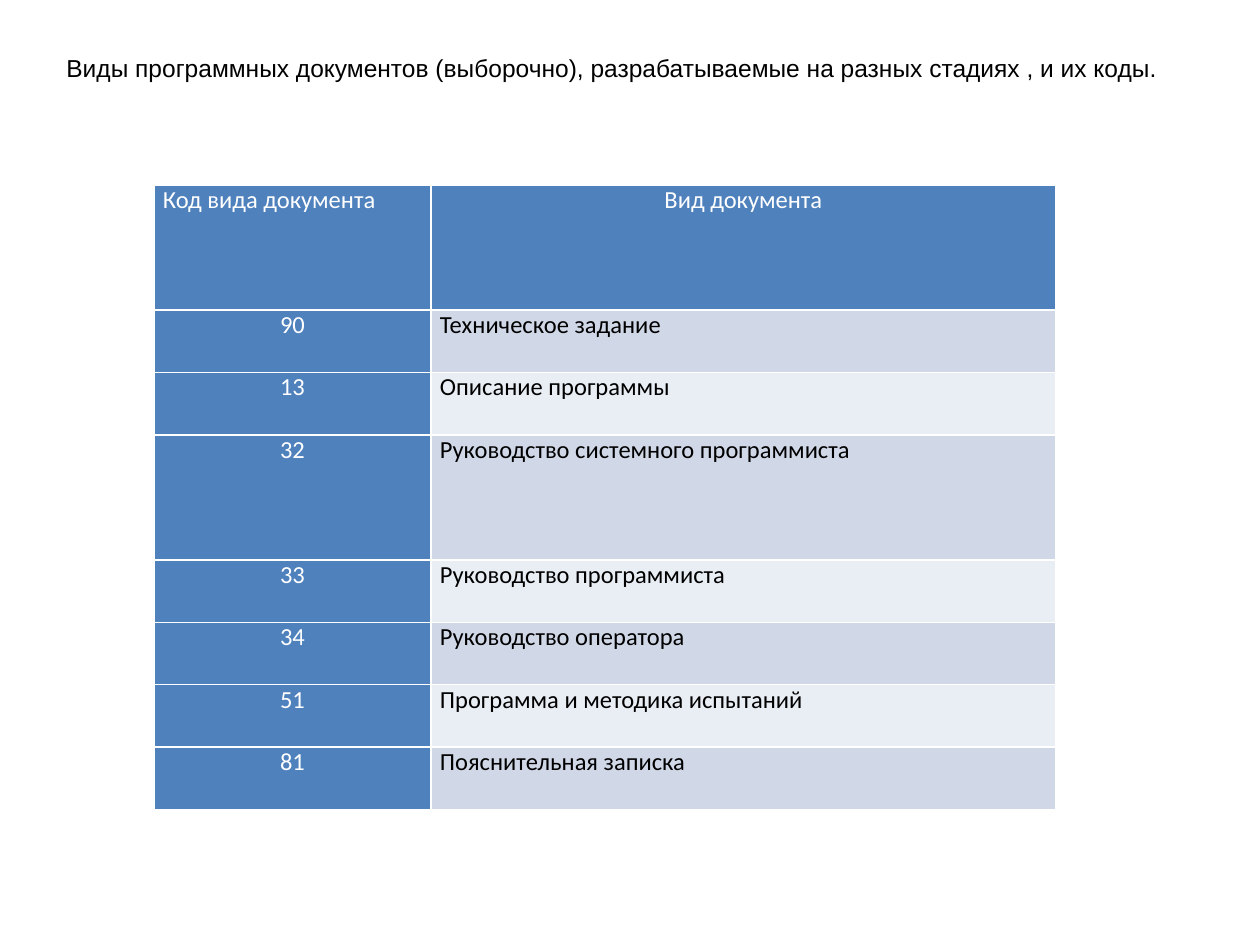
"""Build a slide listing program document kinds and their codes."""
import pptx
import pptx.util
import pptx.dml.color
import pptx.enum.text
import pptx.oxml
import pptx.oxml.ns

RGB = pptx.dml.color.RGBColor
ALIGN = pptx.enum.text.PP_ALIGN
WHITE = RGB(0xFF, 0xFF, 0xFF)
BLACK = RGB(0, 0, 0)
BLUE = RGB(0x4F, 0x81, 0xBD)
BANDS = RGB(0xD0, 0xD8, 0xE8), RGB(0xE9, 0xED, 0xF4)

TITLE = "Виды программных документов (выборочно), разрабатываемые на разных стадиях , и их коды."
ROWS = [
    ("Код вида документа", "Вид документа", 2),
    ("90", "Техническое задание", 1),
    ("13", "Описание программы", 1),
    ("32", "Руководство системного программиста", 2),
    ("33", "Руководство программиста", 1),
    ("34", "Руководство оператора", 1),
    ("51", "Программа и методика испытаний", 1),
    ("81", "Пояснительная записка", 1),
]
COLS = 277, 625
LEFT, TOP, HIGH = 154, 185, 625
SCALE = 914400 / 126


def px(num):
    return pptx.util.Emu(round(num * SCALE))


def write(frame, text, font, color, align):
    para = frame.paragraphs[0]
    para.alignment = align
    run = para.add_run()
    run.text = text
    run.font.name = font
    run.font.size = pptx.util.Pt(14)
    run.font.color.rgb = color


def edge(cell):
    props = cell._tc.get_or_add_tcPr()
    space = pptx.oxml.ns.nsdecls("a")
    for spot, side in enumerate("LRTB"):
        props.insert(spot, pptx.oxml.parse_xml(
            f'<a:ln{side} {space} w="12700"><a:solidFill>'
            f'<a:srgbClr val="{WHITE}"/></a:solidFill></a:ln{side}>'))


deck = pptx.Presentation()
deck.slide_width, deck.slide_height = px(1260), px(945)
slide = deck.slides.add_slide(deck.slide_layouts[6])

grid = slide.shapes.add_table(
    len(ROWS), len(COLS), px(LEFT), px(TOP), px(sum(COLS)), px(HIGH)).table
for col, wide in zip(grid.columns, COLS):
    col.width = px(wide)
unit = HIGH / sum(row[-1] for row in ROWS)
for r, (*texts, tall) in enumerate(ROWS):
    grid.rows[r].height = px(tall * unit)
    for c, text in enumerate(texts):
        cell = grid.cell(r, c)
        dark = r == 0 or c == 0
        cell.margin_left = cell.margin_right = px(9)
        cell.margin_top = cell.margin_bottom = 0
        cell.fill.solid()
        cell.fill.fore_color.rgb = BLUE if dark else BANDS[(r - 1) % 2]
        edge(cell)
        align = ALIGN.CENTER if (r == 0) != (c == 0) else ALIGN.LEFT
        write(cell.text_frame, text, "Calibri", WHITE if dark else BLACK, align)

head = slide.shapes.add_textbox(px(54), px(45), px(1124), px(72)).text_frame
head.word_wrap = True
head.margin_top = px(8)
write(head, TITLE, "Arial", BLACK, ALIGN.LEFT)

deck.save("out.pptx")
